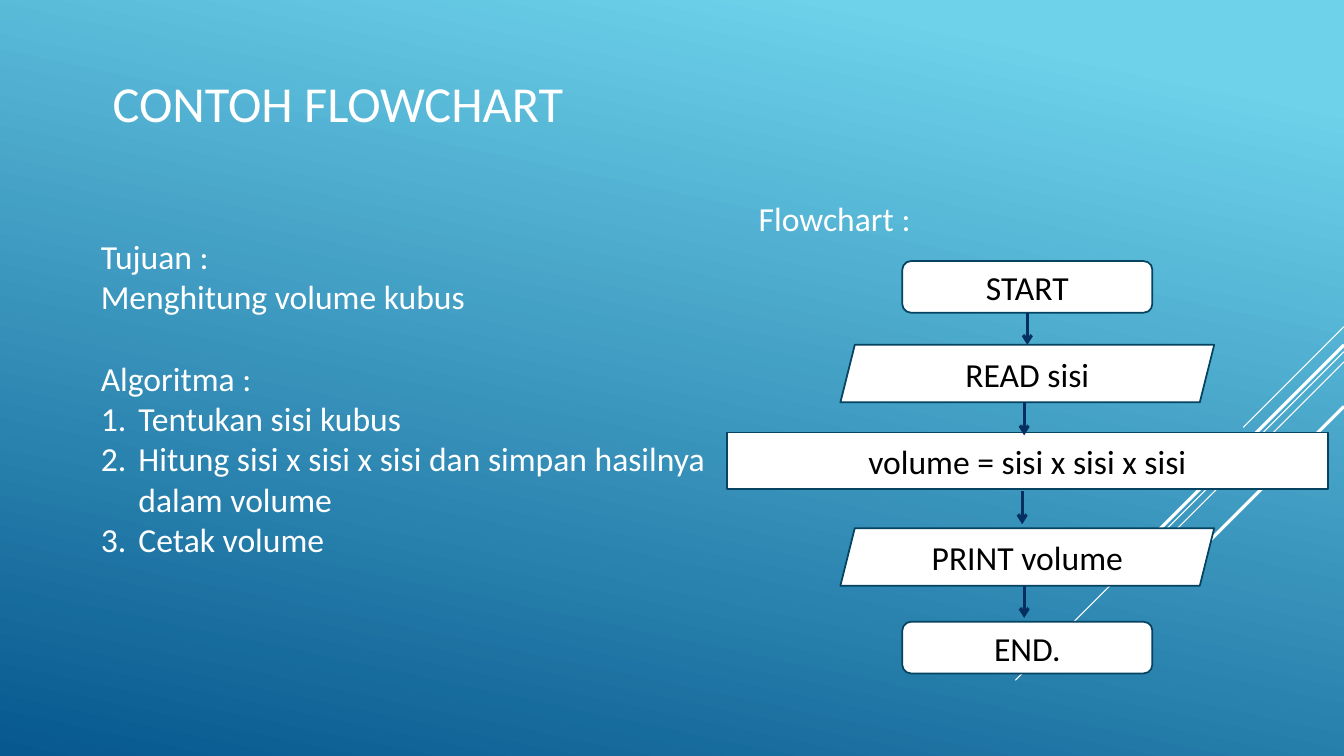
from dataclasses import dataclass

from pptx import Presentation
from pptx.dml.color import RGBColor
from pptx.enum.shapes import MSO_CONNECTOR as Link, MSO_SHAPE as Shape
from pptx.enum.text import MSO_ANCHOR as Anchor, PP_ALIGN as Align
from pptx.oxml.ns import qn
from pptx.util import Cm, Pt
from lxml.etree import SubElement


@dataclass(frozen=True)
class Theme:
    font: str = "Calibri"
    title_size: float = 36
    text_size: float = 24
    white: str = "FFFFFF"
    black: str = "000000"
    border: str = "054361"
    arrow: str = "052F61"
    sky: str = "6ED2EB"
    deep: str = "06588E"


THEME = Theme()
WIDTH, HEIGHT = 33.87, 19.05
FLOW_CENTER = 25.89
LIST_INDENT = 0.95

# Diagonal accents: top at the right edge, reach, line width
ACCENTS = [
    (8.23, 2.54, 0.75),
    (8.86, 8.28, 0.75),
    (9.12, 5.27, 0.75),
    (8.69, 4.85, 2.25),
    (10.24, 3.53, 2.25),
]

# Flowchart steps: text, shape, top, width, height
STEPS = [
    ("START", Shape.ROUNDED_RECTANGLE, 6.58, 6.3, 1.3),
    ("READ sisi", Shape.PARALLELOGRAM, 8.69, 9.42, 1.45),
    ("volume = sisi x sisi x sisi", Shape.RECTANGLE, 10.9, 15.14, 1.42),
    ("PRINT volume", Shape.PARALLELOGRAM, 13.31, 9.42, 1.45),
    ("END.", Shape.ROUNDED_RECTANGLE, 15.67, 6.3, 1.3),
]

# Arrows: x, top, bottom
ARROWS = [
    (FLOW_CENTER, 7.88, 8.69),
    (25.81, 10.13, 10.97),
    (25.76, 12.37, 13.21),
    (25.81, 14.76, 15.57),
]

GOAL = ["Tujuan :", "Menghitung volume kubus"]
ALGORITHM = [
    "Tentukan sisi kubus",
    "Hitung sisi x sisi x sisi dan simpan hasilnya dalam volume",
    "Cetak volume",
]


def rgb(color):
    return RGBColor.from_string(color)


def paint_background(page):
    fill = page.background.fill
    fill.gradient()
    fill.gradient_angle = 258
    stops = [(0.1, THEME.sky), (1, THEME.deep)]
    for stop, (position, color) in zip(fill.gradient_stops, stops):
        stop.position = position
        stop.color.rgb = rgb(color)


def add_line(page, start, end, color, width):
    line = page.shapes.add_connector(Link.STRAIGHT, *map(Cm, start + end))
    line.line.color.rgb = rgb(color)
    line.line.width = Pt(width)
    SubElement(line._element.spPr, qn("a:effectLst"))
    return line


def add_arrow(page, x, top, bottom):
    arrow = add_line(page, (x, top), (x, bottom), THEME.arrow, 2.25)
    SubElement(arrow.line._get_or_add_ln(), qn("a:tailEnd"), type="arrow")
    return arrow


def write(para, text, size, color):
    para.text = text
    para.font.name = THEME.font
    para.font.size = Pt(size)
    para.font.color.rgb = rgb(color)


def number(para):
    props = para._p.get_or_add_pPr()
    indent = Cm(LIST_INDENT)
    props.set("marL", str(indent))
    props.set("indent", str(-indent))
    SubElement(props, qn("a:buFont"), typeface="+mj-lt")
    SubElement(props, qn("a:buAutoNum"), type="arabicPeriod")


def add_text(page, lines, bounds, size=THEME.text_size, wrap=True, anchor=Anchor.TOP):
    frame = page.shapes.add_textbox(*map(Cm, bounds)).text_frame
    frame.word_wrap = wrap
    frame.vertical_anchor = anchor
    for index, line in enumerate(lines):
        para = frame.add_paragraph() if index else frame.paragraphs[0]
        write(para, line, size, THEME.white)
    return frame.paragraphs


def add_step(page, text, kind, top, width, height):
    bounds = (FLOW_CENTER - width / 2, top, width, height)
    step = page.shapes.add_shape(kind, *map(Cm, bounds))
    step.shadow.inherit = False
    step.fill.solid()
    step.fill.fore_color.rgb = rgb(THEME.white)
    step.line.color.rgb = rgb(THEME.border)
    step.line.width = Pt(1.25)
    step.text_frame.vertical_anchor = Anchor.MIDDLE
    para = step.text_frame.paragraphs[0]
    para.alignment = Align.CENTER
    write(para, text, THEME.text_size, THEME.black)
    return step


def main():
    deck = Presentation()
    deck.slide_width, deck.slide_height = Cm(WIDTH), Cm(HEIGHT)
    page = deck.slides.add_slide(deck.slide_layouts[6])

    # Background and diagonal accents
    paint_background(page)
    for top, reach, width in ACCENTS:
        add_line(page, (WIDTH, top), (WIDTH - reach, top + reach), THEME.white, width)

    # Title
    add_text(page, ["CONTOH FLOWCHART"], (2.59, 0.48, 23.7, 4.19),
             size=THEME.title_size, anchor=Anchor.MIDDLE)

    # Goal and algorithm
    paras = add_text(page, GOAL + ["Algoritma :"] + ALGORITHM, (2.29, 5.82, 15.75, 9.5))
    paras[len(GOAL)].space_before = Pt(29.3)
    for para in paras[-len(ALGORITHM):]:
        number(para)

    # Flowchart
    steps = [add_step(page, *step) for step in STEPS]
    arrows = [add_arrow(page, *arrow) for arrow in ARROWS]
    arrows[0].begin_connect(steps[0], 2)
    add_text(page, ["Flowchart :"], (18.87, 4.85, 5.08, 1.27), wrap=False)

    deck.save("out.pptx")


if __name__ == "__main__":
    main()
